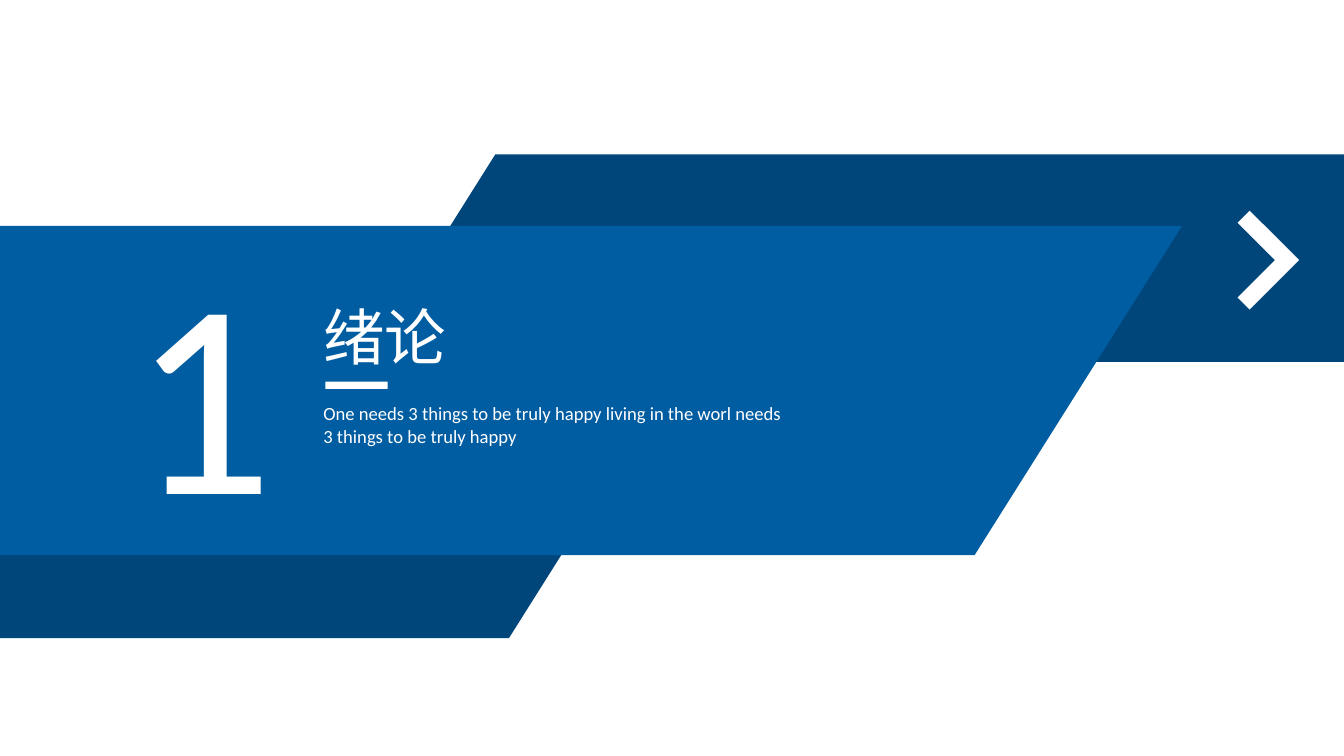
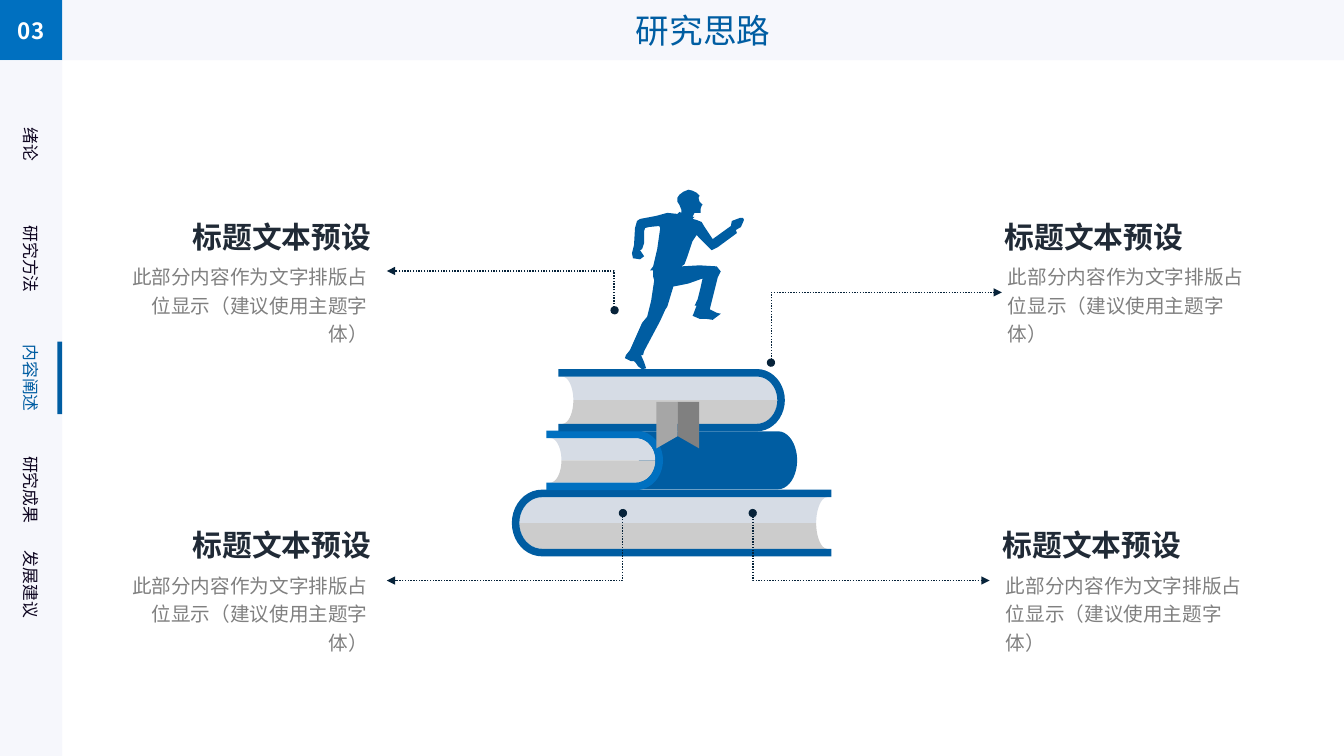
from dataclasses import dataclass
from math import cos, pi, sin

from lxml.etree import SubElement
from pptx import Presentation
from pptx.dml.color import RGBColor
from pptx.enum.dml import MSO_LINE
from pptx.enum.shapes import MSO_CONNECTOR, MSO_SHAPE
from pptx.enum.text import MSO_ANCHOR, PP_ALIGN
from pptx.oxml.ns import qn
from pptx.util import Cm, Pt


@dataclass(frozen=True)
class Theme:
    # Colours
    white: str = "FFFFFF"
    deep: str = "00467A"
    blue: str = "005DA2"
    bright: str = "0070C0"
    pale: str = "F6F7FC"
    ink: str = "0E0520"
    head: str = "202A36"
    grey: str = "808080"
    silver: str = "A6A6A6"
    wire: str = "07233A"
    light: str = "D6DCE5"
    shade: str = "CCCCCC"
    # Fonts
    latin: str = "Calibri"
    han: str = "Noto Sans CJK SC"
    label: str = "Noto Sans CJK JP"
    # Type sizes
    huge: float = 199
    cover: float = 44
    title: float = 24
    note: float = 21.3
    tag: float = 16
    body: float = 14
    lead: float = 13.3
    small: float = 12


T = Theme()
WIDE, HIGH = 33.87, 19.05
LEFT, MID, RIGHT = PP_ALIGN.LEFT, PP_ALIGN.CENTER, PP_ALIGN.RIGHT


# Basic parts: every box is (left, top, width, height) in cm
def assign(item, values):
    for name, value in values.items():
        setattr(item, name, value)


def paint(shape, fill):
    shape.shadow.inherit = False
    shape.fill.solid()
    shape.fill.fore_color.rgb = RGBColor.from_string(fill)
    shape.line.fill.background()
    return shape


def write(shape, text, size, color, font=T.han, align=LEFT, bold=False,
          space=None, **frame):
    assign(shape.text_frame, {"word_wrap": True, **frame})
    para = shape.text_frame.paragraphs[0]
    assign(para, {"alignment": align, "line_spacing": space})
    run = para.add_run()
    run.text = text
    assign(run.font, {"size": Pt(size), "name": font, "bold": bold})
    run.font.color.rgb = RGBColor.from_string(color)
    SubElement(run.font._element, qn("a:ea"), typeface=font)


def label(page, box, *args, **kwargs):
    shape = page.shapes.add_textbox(*map(Cm, box))
    write(shape, *args, **kwargs)
    return shape


def block(page, box, fill):
    return paint(page.shapes.add_shape(MSO_SHAPE.RECTANGLE, *map(Cm, box)), fill)


def poly(page, box, grid, points, fill):
    """Stretch points drawn on a grid over the box."""
    x, y, w, h = box
    spots = [(Cm(x + a * w / grid[0]), Cm(y + b * h / grid[1]))
             for a, b in points]
    pen = page.shapes.build_freeform(*spots[0])
    pen.add_line_segments(spots[1:], close=True)
    return paint(pen.convert_to_shape(), fill)


def arc(x, y, wide, tall, start, end, steps=20):
    """Points on an ellipse; angles in half turns, clockwise from the right."""
    turns = [pi * (start + (end - start) * i / steps) for i in range(steps + 1)]
    return [(x + wide * cos(t), y + tall * sin(t)) for t in turns]


# Section slide
def slant(page, box, fill, side):
    w, h = box[2:]
    lean = 0.63 * h
    if side == "left":
        points = [(lean, 0), (w, 0), (w, h), (0, h)]
    else:
        points = [(0, 0), (w, 0), (w - lean, h), (0, h)]
    poly(page, box, (w, h), points, fill)


def banner(page, box, number, title, lead):
    x, y, w, h = box
    slant(page, (x + 9.19, y, w - 9.19, 5.23), T.deep, "left")
    slant(page, (x, y + 7.44, 15.82, h - 7.44), T.deep, "right")
    slant(page, (x, y + 1.8, 29.79, 8.3), T.blue, "right")
    # Number and texts
    label(page, (x + 3.07, y + 1.42, 4.11, 8.76), number, T.huge, T.white,
          T.latin, MID, word_wrap=False)
    label(page, (x + 7.9, y + 6.12, 12.24, 1.4), lead, T.lead, T.white, T.latin)
    label(page, (x + 7.9, y + 3.53, 6.88, 2.13), title, T.cover, T.white)
    block(page, (x + 8.2, y + 5.73, 1.57, 0.18), T.white)
    # Arrow
    poly(page, (x + 31.19, y + 1.42, 1.55, 2.49), (61, 98),
         [(12, 0), (61, 49), (12, 98), (0, 86), (37, 49), (0, 12)], T.white)


# Frame of a content slide
def header(page, box, number, title, side):
    x, y, w, h = box
    bar = block(page, (x + side, y, w - side, h), T.pale)
    write(bar, title, T.title, T.blue, align=MID,
          vertical_anchor=MSO_ANCHOR.MIDDLE)
    tag = block(page, (x, y, side, h), T.bright)
    write(tag, number, T.tag, T.white, T.label, MID, True,
          vertical_anchor=MSO_ANCHOR.MIDDLE)


def menu(page, box, items, active):
    x, y, w, h = box
    block(page, box, T.pale)
    wide, tall = 2.24, 0.76
    for text, mid in items:
        here = text == active
        spot = (x + (w - wide) / 2, y + mid - tall / 2, wide, tall)
        shape = label(page, spot, text, T.small, T.blue if here else T.ink,
                      align=MID, word_wrap=False)
        shape.rotation = 90
        if here:
            block(page, (x + w - 0.12, y + mid - 0.92, 0.12, 1.83), T.blue)


# Books, each with its open end on one side
def book(page, box, fill, flip=False):
    w, h = box[2:]
    edge, bend, inset, dent = 0.19, 0.45 * h, 0.1, 0.28
    turn, half = w - bend, h / 2
    inner = (turn, half, bend - edge, half - edge)
    hollow = (inset, half, dent, half - edge)

    def draw(points, color):
        if flip:
            points = [(w - a, b) for a, b in points]
        poly(page, box, (w, h), points, color)

    # Upper and lower pages, then the cover
    draw(arc(*inner, -0.5, 0) + arc(*hollow, 0, -0.5), T.light)
    draw(arc(*inner, 0.5, 0) + arc(*hollow, 0, 0.5), T.shade)
    draw([(0, 0)] + arc(turn, half, bend, half, -0.5, 0.5)
         + [(0, h), (0, h - edge)] + arc(*inner, 0.5, -0.5) + [(0, edge)], fill)


RUNNER = [
    (114, 28), (106, 31), (105, 36), (87, 49), (79, 37), (76, 32), (71, 30),
    (67, 29), (69, 27), (67, 27), (69, 23), (75, 23), (75, 19), (76, 16),
    (77, 15), (74, 12), (73, 8), (74, 6), (71, 3), (67, 1), (63, 0), (58, 2),
    (54, 5), (52, 8), (52, 12), (54, 15), (56, 20), (56, 23), (54, 22),
    (52, 24), (42, 23), (31, 26), (15, 29), (12, 31), (10, 38), (9, 55),
    (7, 63), (8, 68), (15, 69), (19, 66), (15, 60), (17, 59), (19, 53),
    (19, 41), (20, 38), (24, 37), (34, 36), (35, 38), (32, 59), (28, 76),
    (25, 80), (28, 80), (28, 86), (29, 90), (26, 110), (22, 126), (17, 132),
    (13, 141), (5, 159), (1, 164), (0, 167), (6, 170), (9, 170), (11, 172),
    (13, 175), (17, 178), (21, 177), (19, 171), (16, 164), (18, 164),
    (19, 160), (35, 130), (40, 119), (42, 116), (48, 96), (53, 95), (63, 93),
    (77, 88), (75, 97), (72, 109), (69, 115), (71, 115), (68, 123), (67, 125),
    (74, 128), (80, 128), (87, 129), (95, 123), (91, 122), (83, 118),
    (84, 119), (92, 87), (95, 81), (91, 76), (74, 75), (56, 76), (59, 74),
    (62, 66), (67, 51), (71, 45), (79, 53), (86, 60), (92, 57), (111, 43),
    (110, 40), (115, 37), (118, 30), (117, 28),
]


def tower(page, box):
    x, y = box[:2]
    book(page, (x, y + 7.56, 8.05, 1.68), T.blue, flip=True)
    # Rear half of the middle book
    w, h = 3.99, 1.46
    poly(page, (x + 3.2, y + 6.09, w, h), (w, h),
         [(0, 0)] + arc(w - 0.48, h / 2, 0.48, h / 2, -0.5, 0.5) + [(0, h)],
         T.blue)
    book(page, (x + 0.87, y + 6.07, 2.94, 1.5), T.bright)
    book(page, (x + 1.17, y + 4.52, 5.71, 1.57), T.blue)
    # Ribbon
    w, h = 0.54, 1.17
    for i, (fill, ends) in enumerate([(T.silver, (h, 0.86)),
                                      (T.grey, (0.86, h))]):
        poly(page, (x + 3.64 + i * w, y + 5.35, w, h), (w, h),
             [(0, 0), (w, 0), (w, ends[1]), (0, ends[0])], fill)
    poly(page, (x + 2.85, y, 3, 4.55), (118, 179), RUNNER, T.blue)


# Notes and their lead lines
def note(page, box, align, head, body):
    x, y, w, h = box
    label(page, (x, y + 1.02, w, h - 1.02), body, T.body, T.grey, align=align,
          space=1.2, margin_left=Cm(0.33), margin_right=Cm(0.33),
          margin_top=Cm(0.17), margin_bottom=Cm(0.17))
    label(page, (x, y, w, 1.17), head, T.note, T.head, align=align, bold=True)


def wire(page, start, end):
    """Run upright from the dot, then level to the arrowhead."""
    link = page.shapes.add_connector(MSO_CONNECTOR.ELBOW,
                                     *map(Cm, start + end))
    assign(link.line, {"width": Pt(1), "dash_style": MSO_LINE.ROUND_DOT})
    link.line.color.rgb = RGBColor.from_string(T.wire)
    props = link._element.spPr
    guides = props.find(qn("a:prstGeom")).get_or_add_avLst()
    SubElement(guides, qn("a:gd"), name="adj1", fmla="val 200")
    line = link.line._get_or_add_ln()
    for tag, kind in (("a:headEnd", "oval"), ("a:tailEnd", "triangle")):
        SubElement(line, qn(tag), type=kind)
    SubElement(props, qn("a:effectLst"))


def main():
    deck = Presentation()
    assign(deck, {"slide_width": Cm(WIDE), "slide_height": Cm(HIGH)})
    blank = deck.slide_layouts[6]

    # Section opener
    page = deck.slides.add_slide(blank)
    banner(page, (0, 3.89, WIDE, 12.19), "1", "绪论",
           "One needs 3 things to be truly happy living in the worl needs "
           "3 things to be truly happy")

    # Research approach
    page = deck.slides.add_slide(blank)
    side, top = 1.57, 1.52
    header(page, (0, 0, WIDE, top), "03", "研究思路", side)
    items = [("绪论", 2.11), ("研究方法", 5.01), ("内容阐述", 8.01),
             ("研究成果", 10.82), ("发展建议", 13.21)]
    menu(page, (0, top, side, HIGH - top), items, "内容阐述")
    tower(page, (12.9, 4.78, 8.05, 9.24))
    notes = [
        ((2.74, 5.38), RIGHT, (15.49, 7.82), (9.75, 6.83)),
        ((2.74, 13.16), RIGHT, (15.7, 12.93), (9.75, 14.63)),
        ((25.07, 5.38), LEFT, (19.43, 9.14), (25.25, 7.37)),
        ((25.02, 13.16), LEFT, (18.97, 12.93), (24.94, 14.63)),
    ]
    for spot, align, dot, tip in notes:
        wire(page, dot, tip)
        note(page, spot + (6.86, 2.62), align, "标题文本预设",
             "此部分内容作为文字排版占位显示（建议使用主题字体）")

    deck.save("out.pptx")


if __name__ == "__main__":
    main()
